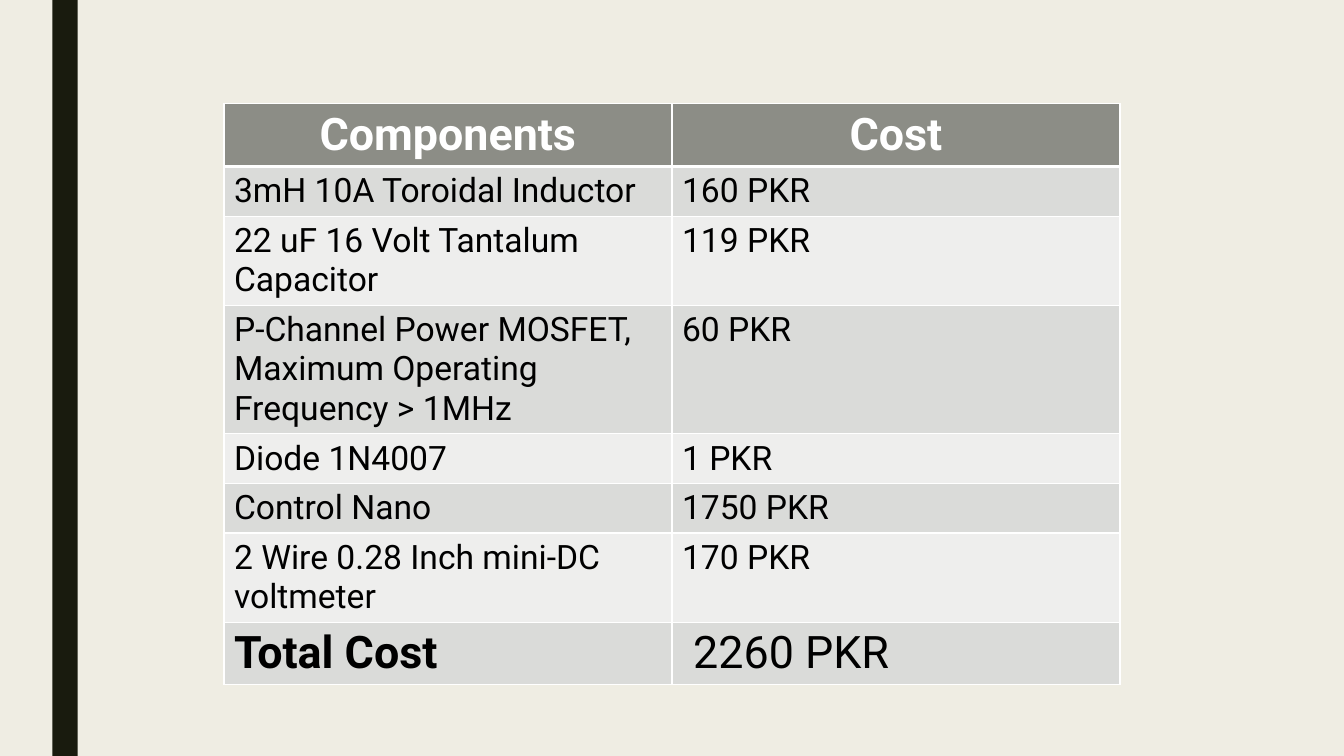
from lxml import etree
from pptx import Presentation, util as u
from pptx.dml.color import RGBColor
from pptx.enum import shapes, text
from pptx.oxml.ns import qn

WIDE, HIGH = u.Inches(13.33), u.Inches(7.5)
FONT = "Roboto"
CREAM = RGBColor(0xEF, 0xED, 0xE3)
DARK = RGBColor(0x19, 0x1B, 0x0E)
HEAD = RGBColor(0x8C, 0x8D, 0x86)
BANDS = RGBColor(0xDA, 0xDB, 0xD9), RGBColor(0xEE, 0xEE, 0xED)
WHITE = RGBColor(0xFF, 0xFF, 0xFF)
BLACK = RGBColor(0, 0, 0)

BIG, BODY = 32, 24
# Component, cost, number of text lines
ROWS = [
    ("Components", "Cost", 1),
    ("3mH 10A Toroidal Inductor", "160 PKR", 1),
    ("22 uF 16 Volt Tantalum Capacitor", "119 PKR", 2),
    ("P-Channel Power MOSFET, Maximum Operating Frequency > 1MHz", "60 PKR", 3),
    ("Diode 1N4007", "1 PKR", 1),
    ("Control Nano", "1750 PKR", 1),
    ("2 Wire 0.28 Inch mini-DC voltmeter", "170 PKR", 2),
    ("Total Cost", " 2260 PKR", 1),
]
LAST = len(ROWS) - 1


def add_bar(slide):
    bar = slide.shapes.add_shape(
        shapes.MSO_SHAPE.RECTANGLE, u.Inches(0.52), 0, u.Inches(0.25), HIGH)
    bar.shadow.inherit = False
    bar.fill.solid()
    bar.fill.fore_color.rgb = DARK
    bar.line.fill.background()


def set_edge(cell, side, width):
    """Draw one white border; call before the cell is filled."""
    edge = etree.SubElement(cell._tc.get_or_add_tcPr(), qn("a:ln" + side),
                            w=str(u.Pt(width)))
    fill = etree.SubElement(edge, qn("a:solidFill"))
    etree.SubElement(fill, qn("a:srgbClr"), val=str(WHITE))


def fill_cell(cell, words, row, col):
    head = row == 0
    for side in "LRTB":
        thick = (head and side == "B") or (row == 1 and side == "T")
        set_edge(cell, side, 3 if thick else 1)
    cell.fill.solid()
    cell.fill.fore_color.rgb = HEAD if head else BANDS[(row - 1) % 2]
    cell.text_frame.text = words
    para = cell.text_frame.paragraphs[0]
    para.alignment = text.PP_ALIGN.CENTER if head else text.PP_ALIGN.LEFT
    font = para.runs[0].font
    font.name = FONT
    font.size = u.Pt(BIG if row in (0, LAST) else BODY)
    font.bold = head or (row == LAST and col == 0)
    font.color.rgb = WHITE if head else BLACK


def add_costs(slide):
    width = WIDE * 2 // 3
    frame = slide.shapes.add_table(
        len(ROWS), 2, (WIDE - width) // 2, u.Inches(1.03), width, u.Inches(5.76))
    table = frame.table
    for row, (part, cost, lines) in enumerate(ROWS):
        size = BIG if row in (0, LAST) else BODY
        table.rows[row].height = u.Inches(0.1) + u.Pt(size * 1.17 * lines)
        for col, words in enumerate((part, cost)):
            fill_cell(table.cell(row, col), words, row, col)


def main():
    deck = Presentation()
    deck.slide_width, deck.slide_height = WIDE, HIGH
    slide = deck.slides.add_slide(deck.slide_layouts[6])
    slide.background.fill.solid()
    slide.background.fill.fore_color.rgb = CREAM
    add_bar(slide)
    add_costs(slide)
    deck.save("out.pptx")


if __name__ == "__main__":
    main()
